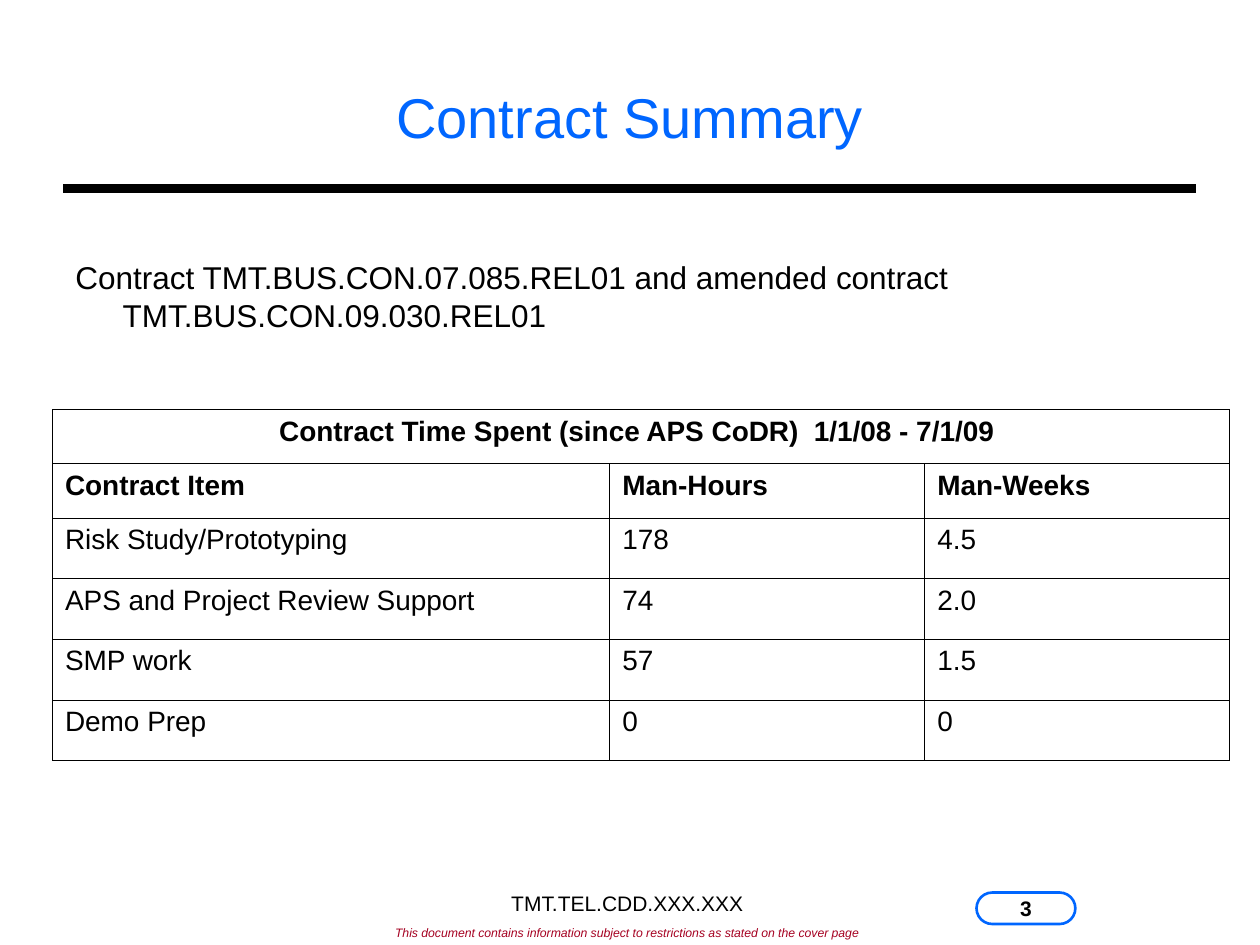
from pptx import Presentation
from pptx.dml.color import RGBColor
from pptx.enum import shapes, text
from pptx.oxml import ns, xmlchemy
from pptx.util import Pt

BLACK = RGBColor(0, 0, 0)
BLUE = RGBColor(0x00, 0x66, 0xFF)
RED = RGBColor(0xA5, 0x00, 0x21)
MID = text.PP_ALIGN.CENTER
LEFT = text.PP_ALIGN.LEFT

COLS = (318.4, 180, 174)
HEADS = (31, 31)
ROW = 34.7
ITEMS = (
    ("Contract Item", "Man-Hours", "Man-Weeks"),
    ("Risk Study/Prototyping", "178", "4.5"),
    ("APS and Project Review Support", "74", "2.0"),
    ("SMP work", "57", "1.5"),
    ("Demo Prep", "0", "0"),
)


def write(frame, words, size=16, color=BLACK, bold=False, italic=False,
          align=LEFT, hang=0):
    para = frame.paragraphs[0]
    para.alignment = align
    if hang:
        props = para._p.get_or_add_pPr()
        props.set("marL", str(Pt(hang)))
        props.set("indent", str(-Pt(hang)))
    run = para.add_run()
    run.text = words
    font = run.font
    font.name, font.size = "Arial", Pt(size)
    font.bold, font.italic = bold, italic
    font.color.rgb = color


def label(slide, box, words, anchor=text.MSO_ANCHOR.TOP, **style):
    frame = slide.shapes.add_textbox(*map(Pt, box)).text_frame
    frame.word_wrap = True
    frame.vertical_anchor = anchor
    write(frame, words, **style)


def rule(slide, left, right, top):
    line = slide.shapes.add_connector(
        shapes.MSO_CONNECTOR.STRAIGHT, Pt(left), Pt(top), Pt(right), Pt(top))
    line.line.color.rgb = BLACK
    line.line.width = Pt(5)
    line._element.spPr.append(xmlchemy.OxmlElement("a:effectLst"))


def badge(slide, box, words):
    pill = slide.shapes.add_shape(
        shapes.MSO_SHAPE.ROUNDED_RECTANGLE, *map(Pt, box))
    pill.adjustments[0] = 0.5
    pill.shadow.inherit = False
    pill.fill.background()
    pill.line.color.rgb = BLUE
    pill.line.width = Pt(1.5)
    frame = pill.text_frame
    frame.margin_left = frame.margin_right = 0
    frame.margin_top = frame.margin_bottom = 0
    frame.word_wrap = False
    frame.vertical_anchor = text.MSO_ANCHOR.MIDDLE
    write(frame, words, size=12, bold=True, align=MID)


def edge(cell):
    props = cell._tc.get_or_add_tcPr()
    for i, side in enumerate(("lnL", "lnR", "lnT", "lnB")):
        line = xmlchemy.OxmlElement("a:" + side)
        line.set("w", str(Pt(0.45)))
        fill = xmlchemy.OxmlElement("a:solidFill")
        tint = xmlchemy.OxmlElement("a:srgbClr")
        tint.set("val", str(BLACK))
        fill.append(tint)
        line.append(fill)
        props.insert(i, line)


def grid(slide, left, top):
    highs = HEADS + (ROW,) * (len(ITEMS) - 1)
    table = slide.shapes.add_table(
        len(highs), len(COLS), Pt(left), Pt(top),
        Pt(sum(COLS)), Pt(sum(highs))).table
    table.first_row = table.horz_banding = False
    for col, wide in zip(table.columns, COLS):
        col.width = Pt(wide)
    for row, high in zip(table.rows, highs):
        row.height = Pt(high)
    for cell in table.iter_cells():
        cell.fill.background()
        edge(cell)

    # Heading across all columns
    table.cell(0, 0).merge(table.cell(0, len(COLS) - 1))
    write(table.cell(0, 0).text_frame,
          "Contract Time Spent (since APS CoDR)  1/1/08 - 7/1/09 ",
          bold=True, align=MID)

    # Column heads and items
    for r, item in enumerate(ITEMS, 1):
        for c, words in enumerate(item):
            write(table.cell(r, c).text_frame, words, bold=r == 1)


def main():
    deck = Presentation()
    deck.slide_width, deck.slide_height = Pt(720), Pt(540)
    slide = deck.slides.add_slide(deck.slide_layouts[6])

    # Rule and footer
    rule(slide, 36, 683.5, 107.8)
    badge(slide, (558, 510, 56.5, 18), "3")
    label(slide, (155.5, 525, 405.5, 11.5),
          "This document contains information subject to restrictions "
          "as stated on the cover page",
          size=7, color=RED, italic=True, align=MID)
    label(slide, (235.5, 505.5, 246, 19.5), "TMT.TEL.CDD.XXX.XXX",
          size=12, align=MID)

    # Title and contract numbers
    label(slide, (36, 21.6, 648, 90), "Contract Summary",
          anchor=text.MSO_ANCHOR.MIDDLE, size=32, color=BLUE, align=MID)
    label(slide, (36, 144, 636, 66),
          "Contract TMT.BUS.CON.07.085.REL01 and amended contract "
          "TMT.BUS.CON.09.030.REL01", size=18, hang=27)

    # Time spent
    grid(slide, 30, 234)
    deck.save("out.pptx")


if __name__ == "__main__":
    main()
